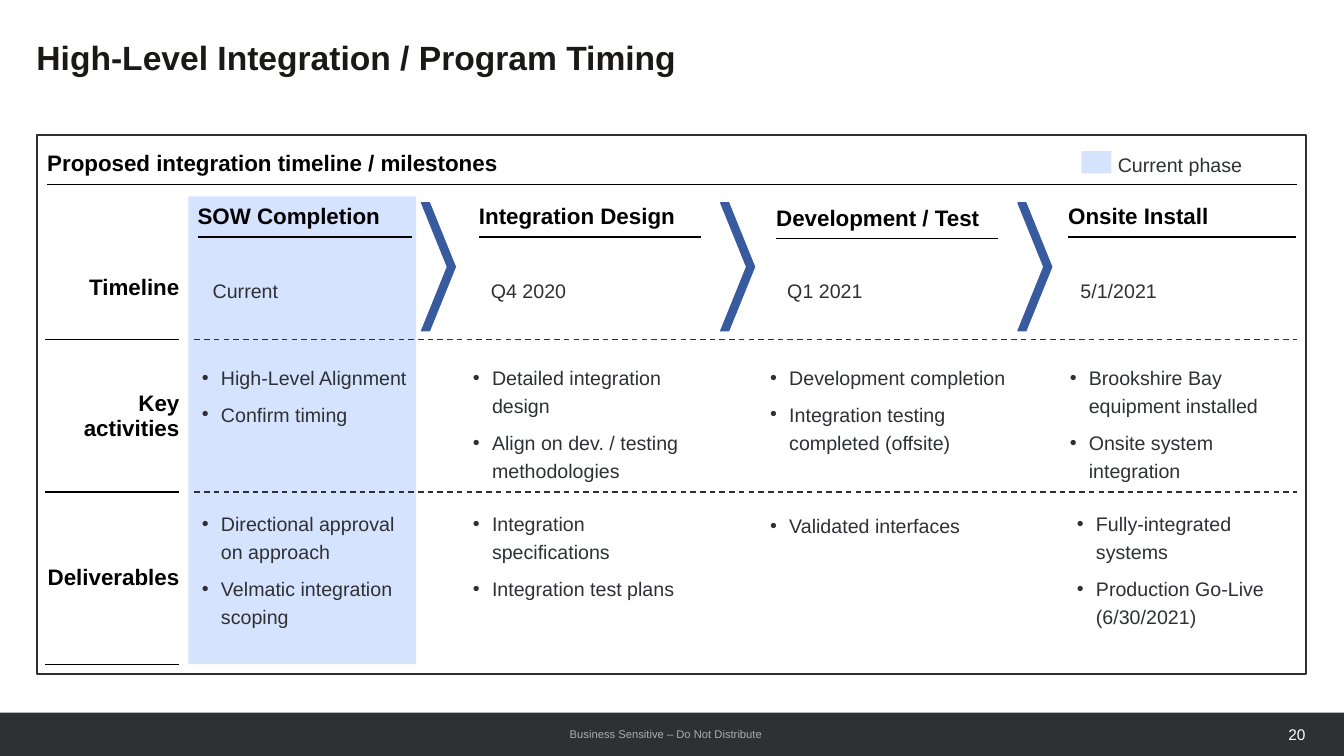
from dataclasses import dataclass

from lxml import etree
from pptx import Presentation
from pptx.dml.color import RGBColor
from pptx.enum.dml import MSO_LINE
from pptx.enum.shapes import MSO_CONNECTOR, MSO_SHAPE
from pptx.enum.text import MSO_ANCHOR, PP_ALIGN
from pptx.oxml.ns import qn
from pptx.util import Cm, Pt

RECTANGLE, CHEVRON = MSO_SHAPE.RECTANGLE, MSO_SHAPE.CHEVRON
STRAIGHT = MSO_CONNECTOR.STRAIGHT
DASH = MSO_LINE.DASH
TOP, MIDDLE = MSO_ANCHOR.TOP, MSO_ANCHOR.MIDDLE
LEFT, CENTER, RIGHT = PP_ALIGN.LEFT, PP_ALIGN.CENTER, PP_ALIGN.RIGHT

FONT = "Arial"
COLORS = {
    "title": "1A1918", "heading": "000000", "body": "2E3033", "dash": "2D2F32",
    "current": "D6E3FF", "chevron": "385B9F", "footer": "ADADAD", "white": "FFFFFF",
}
SLIDE_WIDTH, SLIDE_HEIGHT = 33.87, 19.05
INSET, HANGING = 0.13, 0.48
PHASE_TOP = 4.95
ROWS = [("Timeline", 5.94, 2.62), ("Key activities", 8.56, 3.84), ("Deliverables", 12.4, 4.34)]


@dataclass
class Phase:
    name: str
    date: str
    activities: list
    deliverables: list
    left: float
    width: float
    date_left: float
    activities_left: float
    deliverables_left: float
    list_width: float
    indent: float
    drop: float = 0


PHASES = [
    Phase("SOW Completion", "Current", ["High-Level Alignment", "Confirm timing"],
          ["Directional approval on approach", "Velmatic integration scoping"],
          4.98, 5.41, 5.08, 4.8, 4.8, 5.61, 0.64),
    Phase("Integration Design", "Q4 2020",
          ["Detailed integration design", "Align on dev. / testing methodologies"],
          ["Integration specifications", "Integration test plans"],
          12.07, 5.59, 12.09, 11.79, 11.79, 5.61, HANGING),
    Phase("Development / Test", "Q1 2021",
          ["Development completion", "Integration testing completed (offsite)"],
          ["Validated interfaces"],
          19.56, 5.59, 19.56, 19.28, 19.28, 6.76, HANGING, 0.05),
    Phase("Onsite Install", "5/1/2021",
          ["Brookshire Bay equipment installed", "Onsite system integration"],
          ["Fully-integrated systems", "Production Go-Live (6/30/2021)"],
          26.92, 5.74, 26.95, 26.67, 26.85, 5.74, 0.64),
]


def color(name):
    return RGBColor.from_string(COLORS[name])


def add_run(paragraph, text, size, color_name, bold=False):
    run = paragraph.add_run()
    run.text = text
    run.font.name, run.font.size, run.font.bold = FONT, Pt(size), bold
    run.font.color.rgb = color(color_name)


def add_box(slide, kind, box, fill=None, line=None, line_width=0.75):
    shape = slide.shapes.add_shape(kind, *map(Cm, box))
    shape.shadow.inherit = False
    if fill:
        shape.fill.solid()
        shape.fill.fore_color.rgb = color(fill)
    else:
        shape.fill.background()
    if line:
        shape.line.color.rgb = color(line)
        shape.line.width = Pt(line_width)
    else:
        shape.line.fill.background()
    return shape


def add_frame(slide, box, inset=0, wrap=True, anchor=TOP):
    """Add an empty text box and return its text frame."""
    frame = slide.shapes.add_textbox(*map(Cm, box)).text_frame
    frame.word_wrap, frame.vertical_anchor = wrap, anchor
    frame.margin_left = frame.margin_right = Cm(inset)
    frame.margin_top = frame.margin_bottom = Cm(inset)
    return frame


def add_line_of_text(slide, box, text, size, color_name, bold=False, align=LEFT, **frame_options):
    paragraph = add_frame(slide, box, **frame_options).paragraphs[0]
    paragraph.alignment = align
    add_run(paragraph, text, size, color_name, bold)


def add_body(slide, box, items, indent=0.15, bullets=False):
    frame = add_frame(slide, box, INSET)
    for index, item in enumerate(items):
        paragraph = frame.add_paragraph() if index else frame.paragraphs[0]
        paragraph.line_spacing, paragraph.space_after = 1.2, Pt(6)
        properties = paragraph._p.get_or_add_pPr()
        properties.set("marL", str(Cm(indent)))
        if bullets:
            properties.set("indent", str(-Cm(HANGING)))
            etree.SubElement(properties, qn("a:buFont"), typeface=FONT)
            etree.SubElement(properties, qn("a:buChar"), char="•")
        add_run(paragraph, item, 14, "body")


def add_ruled_heading(slide, box, text, align=LEFT):
    """Add a one-cell table whose only border is the bottom rule."""
    table = slide.shapes.add_table(1, 1, *map(Cm, box)).table
    table.first_row = table.horz_banding = False
    cell = table.cell(0, 0)
    cell.margin_left = cell.margin_right = cell.margin_top = cell.margin_bottom = 0
    cell.vertical_anchor = MIDDLE
    cell.fill.background()
    properties = cell._tc.get_or_add_tcPr()
    for index, side in enumerate("LRTB"):
        border = etree.Element(qn(f"a:ln{side}"), w=str(Pt(1)))
        if side == "B":
            fill = etree.SubElement(border, qn("a:solidFill"))
            etree.SubElement(fill, qn("a:srgbClr"), val=COLORS["heading"])
        else:
            etree.SubElement(border, qn("a:noFill"))
        properties.insert(index, border)
    paragraph = cell.text_frame.paragraphs[0]
    paragraph.alignment = align
    add_run(paragraph, text, 16, "heading", True)


def add_dashed_line(slide, left, right, y):
    line = slide.shapes.add_connector(STRAIGHT, Cm(left), Cm(y), Cm(right), Cm(y))
    line.line.color.rgb = color("dash")
    line.line.width = Pt(1)
    line.line.dash_style = DASH
    etree.SubElement(line._element.spPr, qn("a:effectLst"))


def add_footer(slide, left, top, width, height):
    add_box(slide, RECTANGLE, (left, top, width, height), "body")
    add_line_of_text(slide, (left + 14.22, top + 0.23, 5.13, 0.56),
                     "Business Sensitive – Do Not Distribute", 8, "footer",
                     align=CENTER, inset=INSET, wrap=False)
    add_line_of_text(slide, (left + width - 1.43, top + 0.33, 0.46, 0.41), "20", 11, "white",
                     align=RIGHT, wrap=False, anchor=MIDDLE)


def add_panel(slide, left, top, width, height):
    """Add the frame, its heading, the legend and the row labels."""
    add_box(slide, RECTANGLE, (left, top, width, height), line="body", line_width=1.25)
    add_ruled_heading(slide, (left + 0.25, top + 0.21, 31.5, 1.04),
                      "Proposed integration timeline / milestones")
    add_box(slide, RECTANGLE, (left + 26.31, top + 0.41, 0.76, 0.56), "current")
    add_body(slide, (left + 26.95, top + 0.21, 4.78, 0.84), ["Current phase"])
    for label, row_top, row_height in ROWS:
        add_ruled_heading(slide, (left + 0.2, row_top, 3.38, row_height), label, RIGHT)
    for label, row_top, row_height in ROWS[1:]:
        add_dashed_line(slide, left + 3.96, left + width - 0.23, row_top)


def add_phase(slide, phase, top):
    heading_box = (phase.left, top + phase.drop, phase.width, 1.02)
    add_ruled_heading(slide, heading_box, phase.name)
    add_body(slide, (phase.date_left, top + 1.83, 5.6, 1.02), [phase.date])
    add_body(slide, (phase.activities_left, top + 4.02, phase.list_width, 3.05),
             phase.activities, phase.indent, True)
    add_body(slide, (phase.deliverables_left, top + 7.7 + phase.drop, phase.list_width, 3.05),
             phase.deliverables, phase.indent, True)


def main():
    presentation = Presentation()
    presentation.slide_width, presentation.slide_height = Cm(SLIDE_WIDTH), Cm(SLIDE_HEIGHT)
    slide = presentation.slides.add_slide(presentation.slide_layouts[6])
    add_footer(slide, 0, 17.96, SLIDE_WIDTH, 1.09)
    add_line_of_text(slide, (0.92, 0.92, 32.08, 2.26),
                     "High-Level Integration / Program Timing", 24, "title", bold=True)
    add_box(slide, RECTANGLE, (4.75, PHASE_TOP, 5.74, 11.79), "current")
    add_panel(slide, 0.94, 3.4, 31.98, 13.59)
    for phase in PHASES:
        add_phase(slide, phase, PHASE_TOP)
    for left in (10.62, 18.16, 25.65):
        chevron = add_box(slide, CHEVRON, (left, PHASE_TOP + 0.16, 0.86, 3.23), "chevron", "chevron")
        chevron.adjustments[0] = 0.76
    presentation.save("out.pptx")


if __name__ == "__main__":
    main()
